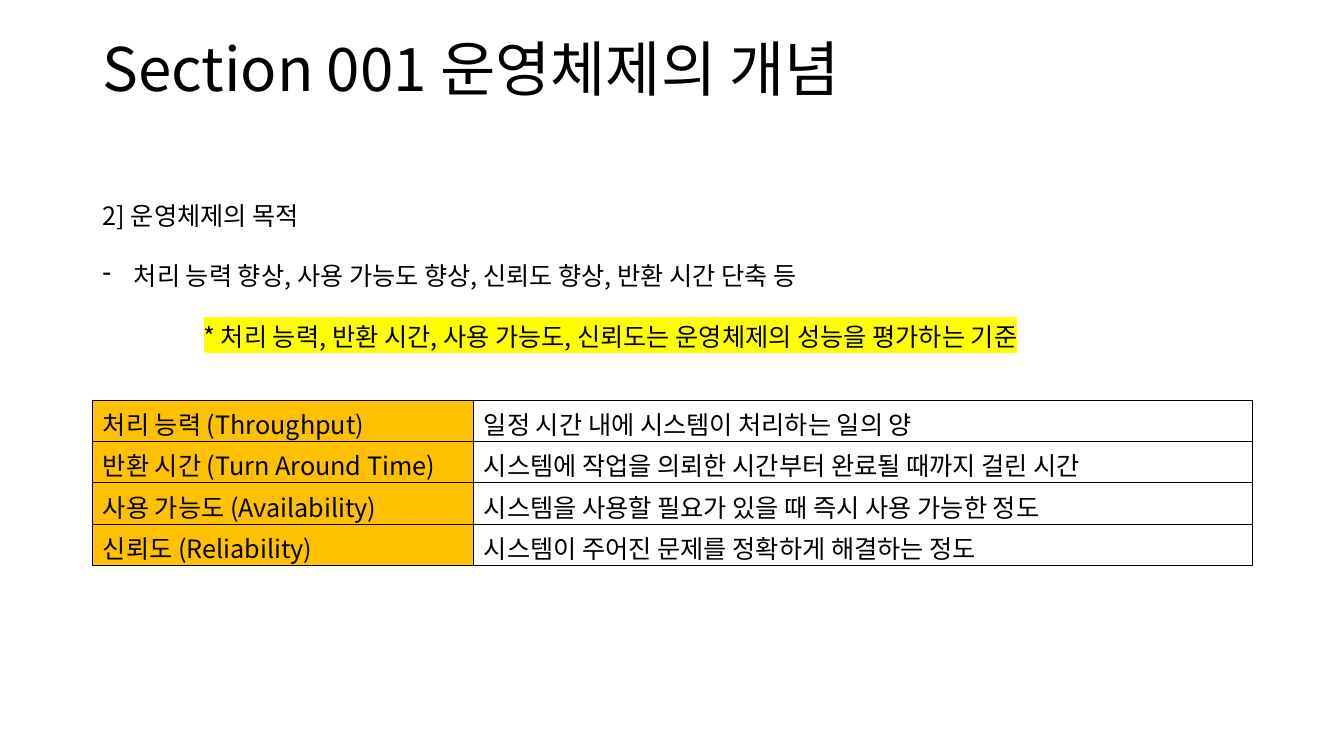
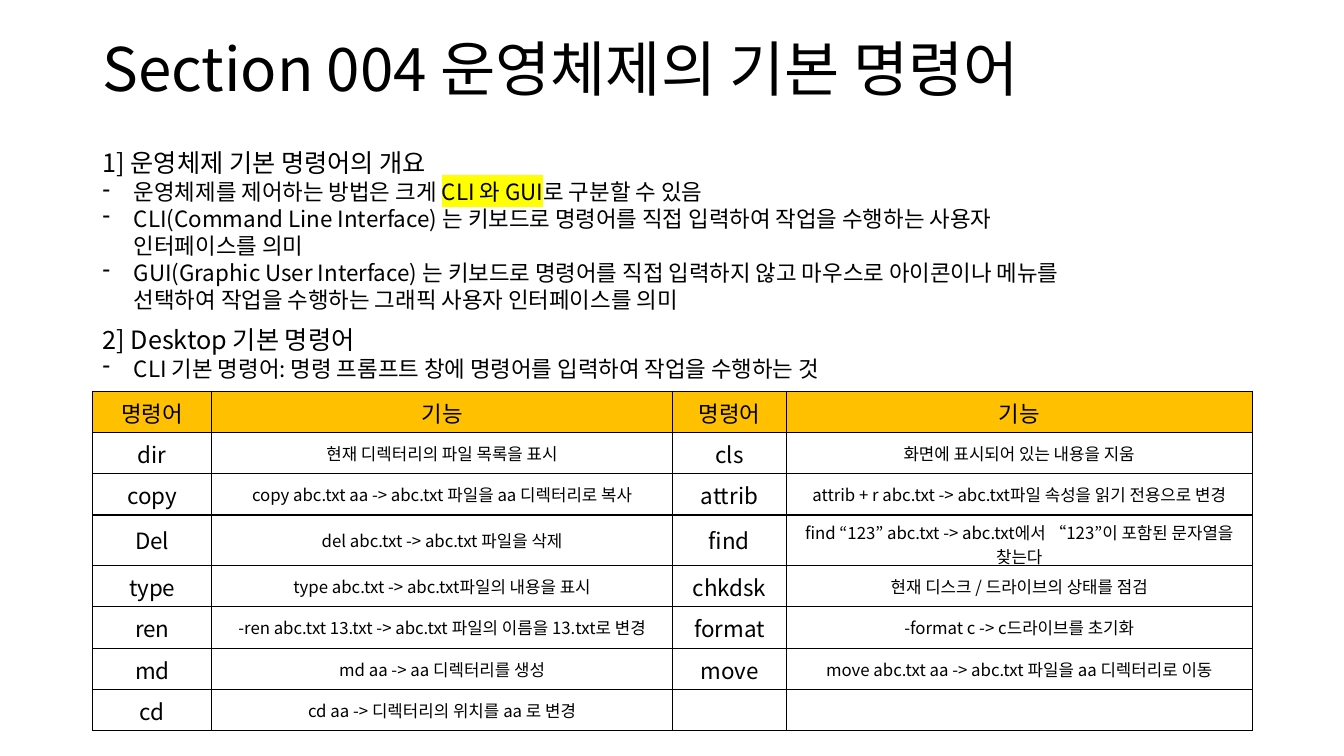
from lxml.etree import SubElement
from pptx import Presentation
from pptx.dml.color import RGBColor
from pptx.enum.text import MSO_ANCHOR, PP_ALIGN
from pptx.oxml.ns import qn
from pptx.util import Inches, Pt

MIDDLE = MSO_ANCHOR.MIDDLE
CENTER = PP_ALIGN.CENTER
FONT = "Noto Sans CJK KR"
INK = "000000"
AMBER = "FFC000"
MARK = "FFFF00"
LEFT, WIDTH, ROW = 0.92, 11.5, 0.41
HANG = 0.31

GOALS = [
    ("처리 능력 (Throughput)", "일정 시간 내에 시스템이 처리하는 일의 양"),
    ("반환 시간 (Turn Around Time)", "시스템에 작업을 의뢰한 시간부터 완료될 때까지 걸린 시간"),
    ("사용 가능도 (Availability)", "시스템을 사용할 필요가 있을 때 즉시 사용 가능한 정도"),
    ("신뢰도 (Reliability)", "시스템이 주어진 문제를 정확하게 해결하는 정도"),
]
METHODS = [
    "운영체제를 제어하는 방법은 크게 |CLI 와 GUI|로 구분할 수 있음",
    "CLI(Command Line Interface) 는 키보드로 명령어를 직접 입력하여 작업을 수행하는 사용자 인터페이스를 의미",
    "GUI(Graphic User Interface) 는 키보드로 명령어를 직접 입력하지 않고 마우스로 아이콘이나 메뉴를 선택하여 작업을 수행하는 그래픽 사용자 인터페이스를 의미",
]
ORDERS = [
    ("명령어", "기능", "명령어", "기능"),
    ("dir", "현재 디렉터리의 파일 목록을 표시", "cls", "화면에 표시되어 있는 내용을 지움"),
    ("copy", "copy abc.txt aa -> abc.txt 파일을 aa 디렉터리로 복사",
     "attrib", "attrib + r abc.txt -> abc.txt파일 속성을 읽기 전용으로 변경"),
    ("Del", "del abc.txt -> abc.txt 파일을 삭제",
     "find", "find “123” abc.txt -> abc.txt에서 “123”이 포함된 문자열을 찾는다"),
    ("type", "type abc.txt -> abc.txt파일의 내용을 표시",
     "chkdsk", "현재 디스크 / 드라이브의 상태를 점검"),
    ("ren", "-ren abc.txt 13.txt -> abc.txt 파일의 이름을 13.txt로 변경",
     "format", "-format c -> c드라이브를 초기화"),
    ("md", "md aa -> aa 디렉터리를 생성",
     "move", "move abc.txt aa -> abc.txt 파일을 aa 디렉터리로 이동"),
    ("cd", "cd aa -> 디렉터리의 위치를 aa 로 변경", "", ""),
]


def color(code):
    return RGBColor.from_string(code)


def style(para, size):
    font = para.font
    font.size = Pt(size)
    font.name = FONT
    font.color.rgb = color(INK)
    props = para._p.pPr.find(qn("a:defRPr"))
    SubElement(props, qn("a:ea"), typeface=FONT)


def write(para, text, size):
    for part, words in enumerate(text.split("|")):
        if not words:
            continue
        run = para.add_run()
        run.text = words
        if part % 2:
            light = SubElement(run._r.get_or_add_rPr(), qn("a:highlight"))
            SubElement(light, qn("a:srgbClr"), val=MARK)
    style(para, size)


def indent(para, left, hang=0):
    props = para._p.get_or_add_pPr()
    props.set("marL", str(Inches(left)))
    props.set("indent", str(-Inches(hang)))


def bullet(para):
    indent(para, HANG, HANG)
    SubElement(para._p.pPr, qn("a:buChar"), char="-")


def add_text(slide, box, lines):
    frame = slide.shapes.add_textbox(*map(Inches, box)).text_frame
    frame.word_wrap = True
    paras = [frame.paragraphs[0]]
    paras += [frame.add_paragraph() for _ in lines[1:]]
    for para, (text, size, dash) in zip(paras, lines):
        if dash:
            bullet(para)
        write(para, text, size)
    return paras


def add_title(slide, text):
    para, = add_text(slide, (LEFT, 0.4, WIDTH, 0.71), [(text, 42.9, False)])
    para.line_spacing = 0.8


def border(cell):
    props = cell._tc.get_or_add_tcPr()
    for place, side in enumerate(("a:lnL", "a:lnR", "a:lnT", "a:lnB")):
        line = props.makeelement(qn(side), {"w": str(Pt(1))})
        fill = SubElement(line, qn("a:solidFill"))
        SubElement(fill, qn("a:srgbClr"), val=INK)
        props.insert(place, line)


def add_grid(slide, top, cols, rows, look):
    frame = slide.shapes.add_table(
        len(rows), len(cols), Inches(LEFT), Inches(top),
        Inches(sum(cols)), Inches(ROW * len(rows)))
    table = frame.table
    table.first_row = table.horz_banding = False
    for col, width in zip(table.columns, cols):
        col.width = Inches(width)
    for r, row in enumerate(rows):
        table.rows[r].height = Inches(ROW)
        for c, text in enumerate(row):
            cell = table.cell(r, c)
            size, head, mid = look(r, c)
            para = cell.text_frame.paragraphs[0]
            write(para, text, size)
            if mid:
                para.alignment = CENTER
                cell.vertical_anchor = MIDDLE
            if head:
                cell.fill.solid()
                cell.fill.fore_color.rgb = color(AMBER)
            else:
                cell.fill.background()
            border(cell)


def goal_look(row, col):
    return 18, col == 0, False


def order_look(row, col):
    return 12 if row and col % 2 else 16, row == 0, True


def goal_slide(slide):
    add_title(slide, "Section 001 운영체제의 개념")
    paras = add_text(slide, (LEFT, 1.94, 12.08, 1.62), [
        ("2] 운영체제의 목적", 18, False),
        ("처리 능력 향상, 사용 가능도 향상, 신뢰도 향상, 반환 시간 단축 등", 18, True),
        ("|* 처리 능력, 반환 시간, 사용 가능도, 신뢰도는 운영체제의 성능을 평가하는 기준|", 18, False),
    ])
    for para in paras[:-1]:
        para.space_after = Pt(21.4)
    indent(paras[-1], 1)
    add_grid(slide, 3.97, (3.78, 7.72), GOALS, goal_look)


def order_slide(slide):
    add_title(slide, "Section 004 운영체제의 기본 명령어")
    head, = add_text(slide, (LEFT, 1.11, WIDTH, 0.61),
                     [("1] 운영체제 기본 명령어의 개요", 18, False)])
    head.line_spacing = 2.0
    add_text(slide, (LEFT, 1.72, 9.99, 1.45),
             [(text, 16, True) for text in METHODS])
    add_grid(slide, 3.88, (1.18, 4.57, 1.13, 4.62), ORDERS, order_look)
    add_text(slide, (LEFT, 3.17, WIDTH, 0.67), [
        ("2] Desktop 기본 명령어", 18, False),
        ("CLI 기본 명령어: 명령 프롬프트 창에 명령어를 입력하여 작업을 수행하는 것", 16, True),
    ])


def main():
    deck = Presentation()
    deck.slide_width, deck.slide_height = Inches(13.33), Inches(7.5)
    for build in (goal_slide, order_slide):
        build(deck.slides.add_slide(deck.slide_layouts[6]))
    deck.save("out.pptx")


if __name__ == "__main__":
    main()
